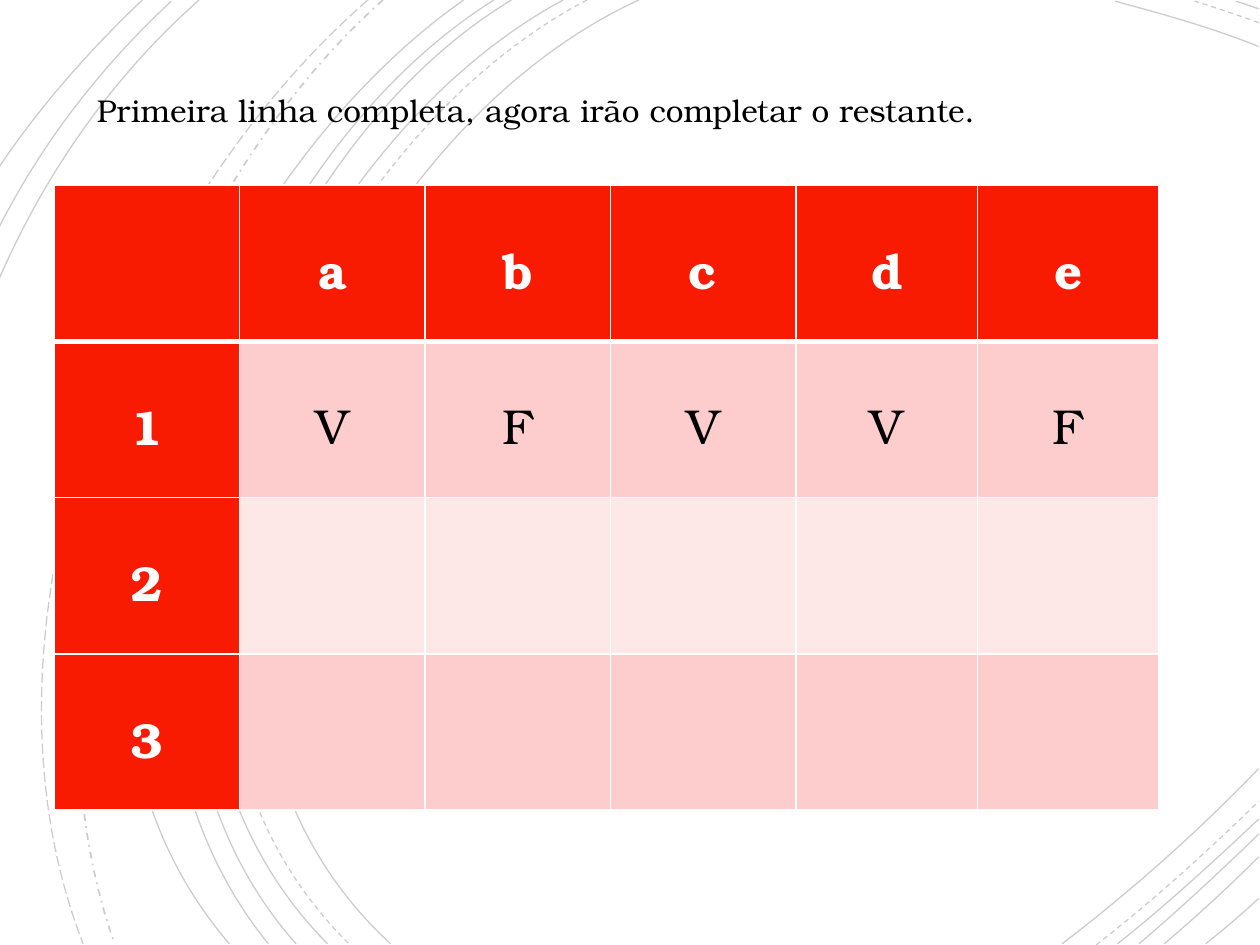
from lxml import etree
from pptx import Presentation
from pptx import util as u
from pptx.dml.color import RGBColor
from pptx.enum import dml, text
from pptx.oxml import ns

# Content
CAPTION = "Primeira linha completa, agora irão completar o restante."
ANSWERS = [
    ["", "a", "b", "c", "d", "e"],
    ["1", "V", "F", "V", "V", "F"],
    ["2", "", "", "", "", ""],
    ["3", "", "", "", "", ""],
]

# Background arcs in inches: start, two control points, end
SOLID, DASH = dml.MSO_LINE.SOLID, dml.MSO_LINE.DASH
DASH_DOT, LONG_DASH = dml.MSO_LINE.DASH_DOT, dml.MSO_LINE.LONG_DASH
ARCS = [
    # Left sweep and its continuation in the right corners
    (SOLID, [(5.07, 0), (2.56, 1.15), (0.83, 5.4), (3.1, 7.49)]),
    (SOLID, [(9.99, 0.37), (9.62, 0.22), (9.22, 0.11), (8.85, 0.01)]),
    (SOLID, [(8.43, 7.49), (8.98, 7.07), (9.51, 6.6), (9.99, 6.1)]),
    (DASH, [(4.66, 0), (2.26, 1.25), (0.63, 5.38), (2.77, 7.49)]),
    (DASH, [(9.99, 0.18), (9.82, 0.12), (9.65, 0.06), (9.48, 0.01)]),
    (DASH, [(8.7, 7.5), (9.15, 7.15), (9.58, 6.76), (9.99, 6.36)]),
    (SOLID, [(4.47, 0), (2.11, 1.27), (0.5, 5.37), (2.6, 7.49)]),
    (SOLID, [(9.99, 0.07), (9.93, 0.05), (9.87, 0.03), (9.81, 0.01)]),
    (SOLID, [(8.87, 7.49), (9.26, 7.18), (9.63, 6.84), (9.99, 6.5)]),
    (SOLID, [(4.06, 0), (1.85, 1.33), (0.5, 5.41), (2.35, 7.49)]),
    (SOLID, [(9.04, 7.49), (9.37, 7.21), (9.68, 6.92), (9.99, 6.62)]),
    (SOLID, [(3.92, 0), (1.72, 1.38), (0.38, 5.34), (2.13, 7.49)]),
    (SOLID, [(9.24, 7.49), (9.5, 7.27), (9.75, 7.04), (9.99, 6.8)]),
    (SOLID, [(3.68, 0), (1.58, 1.47), (-0.07, 5.29), (1.82, 7.49)]),
    (SOLID, [(9.57, 7.49), (9.71, 7.38), (9.85, 7.26), (9.99, 7.13)]),
    (DASH_DOT, [(3.04, 0), (1.17, 1.66), (0.06, 5.09), (0.91, 7.49)]),
    (LONG_DASH, [(2.92, 0), (0.98, 1.69), (-0.31, 4.99), (0.66, 7.49)]),
    # Top left corner
    (SOLID, [(1.58, 0), (0.88, 0.62), (0.35, 1.39), (-0.01, 2.22)]),
    (SOLID, [(1.36, 0.01), (0.79, 0.54), (0.33, 1.14), (-0.01, 1.81)]),
    (SOLID, [(1.13, 0), (0.71, 0.4), (0.32, 0.84), (-0.01, 1.33)]),
]
ARC_OPACITY = 20

# Style
FONT = "TeX Gyre Bonum"
BLACK = RGBColor(0x00, 0x00, 0x00)
WHITE = RGBColor(0xFF, 0xFF, 0xFF)
RED = RGBColor(0xF8, 0x1B, 0x02)
BANDS = [RGBColor(0xFE, 0xE8, 0xE7), RGBColor(0xFC, 0xCD, 0xCC)]

# Grid, in inches; columns are shares of the table width
LEFT, TOP, WIDTH, ROW_HEIGHT = 0.43, 1.47, 8.77, 1.24
COLUMN_SHARES = [1.47] * 4 + [1.44] * 2


def draw_arc(slide, dash, points):
    start, *rest = [(u.Inches(x), u.Inches(y)) for x, y in points]
    builder = slide.shapes.build_freeform(*start)
    builder.add_line_segments(rest, close=False)
    arc = builder.convert_to_shape()

    # Turn the three segments into one cubic curve
    segments = list(arc._element.iter(ns.qn("a:lnTo")))
    curve = etree.SubElement(segments[0].getparent(), ns.qn("a:cubicBezTo"))
    for segment in segments:
        curve.append(segment[0])
        segment.getparent().remove(segment)

    arc.shadow.inherit = False
    arc.fill.background()
    arc.line.color.rgb = BLACK
    arc.line.width = u.Pt(1 if dash == DASH_DOT else 0.75)
    arc.line.dash_style = dash
    color = arc.line._ln.find(".//" + ns.qn("a:srgbClr"))
    etree.SubElement(color, ns.qn("a:alpha"), val=str(ARC_OPACITY * 1000))


def set_borders(cell, widths):
    properties = cell._tc.get_or_add_tcPr()
    for place, (side, width) in enumerate(widths.items()):
        line = etree.Element(ns.qn("a:ln" + side), w=str(u.Pt(width)))
        fill = etree.SubElement(line, ns.qn("a:solidFill"))
        etree.SubElement(fill, ns.qn("a:srgbClr"), val=str(WHITE))
        properties.insert(place, line)


def fill_cell(cell, label, row, column):
    heading = row == 0 or column == 0
    cell.fill.solid()
    cell.fill.fore_color.rgb = RED if heading else BANDS[row % 2]
    set_borders(cell, {"L": 1, "R": 1, "T": 3 if row == 1 else 1,
                       "B": 3 if row == 0 else 1})
    cell.vertical_anchor = text.MSO_ANCHOR.MIDDLE
    cell.margin_left = cell.margin_right = u.Inches(0.07)
    cell.margin_top = cell.margin_bottom = 0
    cell.text = label
    paragraph = cell.text_frame.paragraphs[0]
    paragraph.alignment = text.PP_ALIGN.CENTER
    paragraph.line_spacing = 1.15
    paragraph.font.name = FONT
    paragraph.font.size = u.Pt(28)
    paragraph.font.bold = heading
    paragraph.font.color.rgb = WHITE if heading else BLACK


def main():
    deck = Presentation()
    deck.slide_width, deck.slide_height = u.Inches(10), u.Inches(7.5)
    slide = deck.slides.add_slide(deck.slide_layouts[6])

    # Background arcs
    for dash, points in ARCS:
        draw_arc(slide, dash, points)

    # Answer table
    answers = slide.shapes.add_table(
        len(ANSWERS), len(COLUMN_SHARES), u.Inches(LEFT), u.Inches(TOP),
        u.Inches(WIDTH), u.Inches(ROW_HEIGHT * len(ANSWERS))).table
    answers.first_col = True
    for column, share in zip(answers.columns, COLUMN_SHARES):
        column.width = u.Inches(WIDTH * share / sum(COLUMN_SHARES))
    for row, labels in enumerate(ANSWERS):
        for column, label in enumerate(labels):
            fill_cell(answers.cell(row, column), label, row, column)

    # Caption
    caption = slide.shapes.add_textbox(
        u.Inches(0.67), u.Inches(0.67), u.Inches(8.19), u.Inches(0.4)).text_frame
    caption.word_wrap = True
    caption.text = CAPTION
    font = caption.paragraphs[0].font
    font.name, font.size = FONT, u.Pt(18)
    font.color.rgb = BLACK

    deck.save("out.pptx")


if __name__ == "__main__":
    main()
